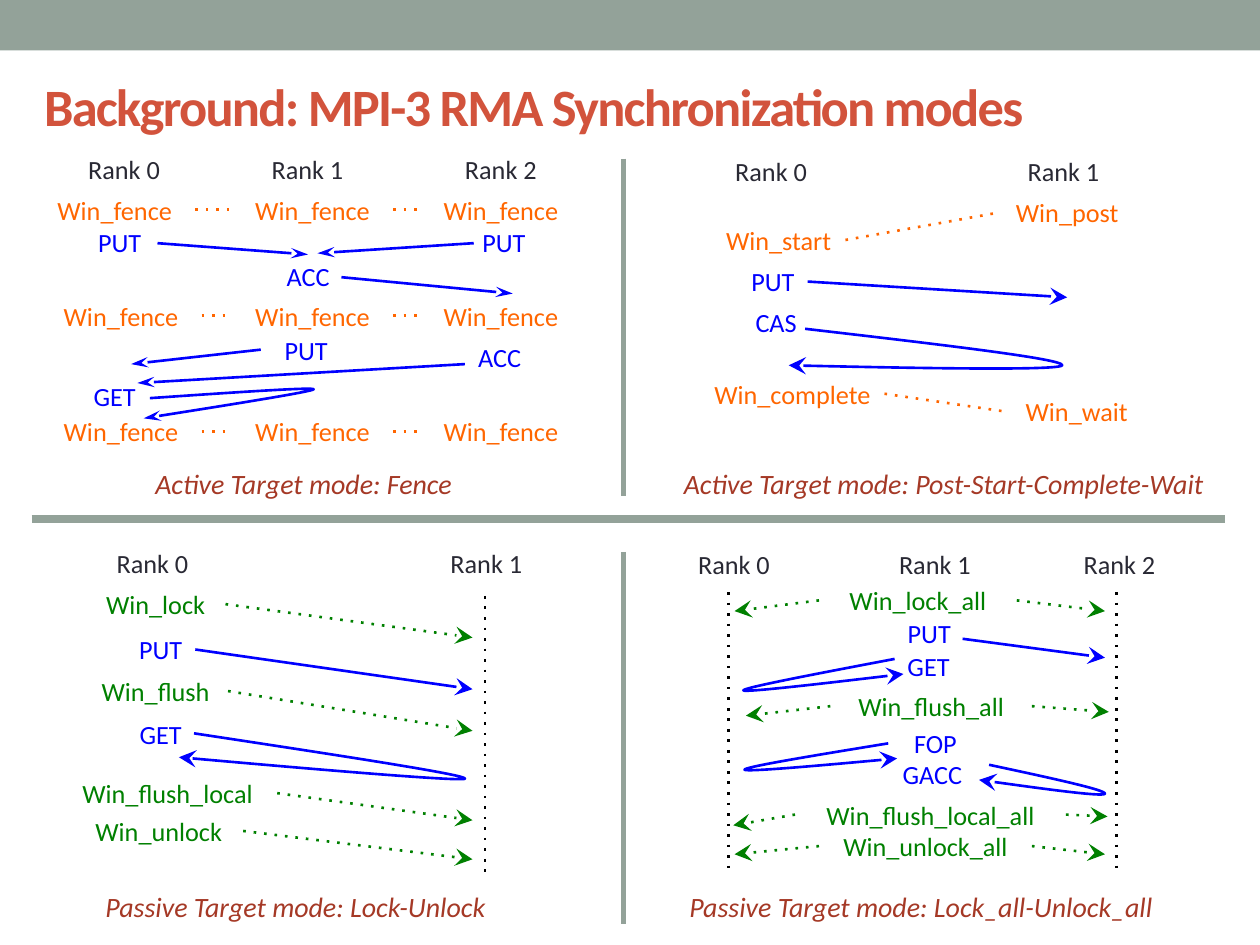
from dataclasses import dataclass, field
from typing import NamedTuple

import lxml.etree
import pptx
import pptx.dml.color
import pptx.enum.shapes
import pptx.enum.text
import pptx.oxml.ns
import pptx.util

FONT = "Calibri"
SAGE, RED, BROWN = "93A299", "D2533C", "A53926"
DARK, ORANGE, BLUE, GREEN, BLACK = "292934", "FF6600", "0000FF", "008000", "000000"
LABEL_H = 0.35
SNAP = 0.025  # a line end this close to the middle of a label's side is joined to it

Point = tuple[float, float]


class Label(NamedTuple):
    text: str
    x: float
    y: float
    w: float
    color: str


class Link(NamedTuple):
    start: Point
    end: Point
    color: str = BLUE
    dotted: bool = False
    arrow: bool = True
    width: float = 1.5


class Loop(NamedTuple):
    """A call that travels to the tip and returns."""
    start: Point
    pull: Point
    tip: Point
    end: Point


@dataclass
class Panel:
    labels: list[Label]
    links: list[Link]
    loops: list[Loop]
    caption: Label
    head_width: str = "lg"
    boxes: list = field(default_factory=list)


def inch(value: float) -> pptx.util.Cm:
    """Positions are noted in inches and given in centimetres."""
    return pptx.util.Cm(value * 2.54)


def rgb(color: str) -> pptx.dml.color.RGBColor:
    return pptx.dml.color.RGBColor.from_string(color)


def sub(parent, tag: str, **attrs: str):
    return lxml.etree.SubElement(parent, pptx.oxml.ns.qn(tag), **attrs)


def format_run(r, size: float, color: str) -> None:
    r.font.name, r.font.size = FONT, pptx.util.Pt(size)
    r.font.color.rgb = rgb(color)


def format_line(sp, color: str, width: float, dotted: bool, head: str) -> None:
    sp.line.color.rgb = rgb(color)
    sp.line.width = pptx.util.Pt(width)
    ln = sp.element.spPr.find(pptx.oxml.ns.qn("a:ln"))
    if dotted:
        sub(ln, "a:prstDash", val="dot")
    if head:
        sub(ln, "a:tailEnd", type="stealth", w=head, len="lg")


def draw_label(shapes, label: Label, size: float = 15, height: float = LABEL_H,
               italic: bool = False):
    sp = shapes.add_textbox(inch(label.x), inch(label.y), inch(label.w), inch(height))
    tf = sp.text_frame
    tf.word_wrap = False
    tf.text = label.text
    p = tf.paragraphs[0]
    p.alignment = pptx.enum.text.PP_ALIGN.CENTER
    format_run(p.runs[0], size, label.color)
    p.runs[0].font.italic = italic
    return sp


def find_site(point: Point, panel: Panel):
    """Return the label box and side whose middle lies at the point."""
    for label, box in zip(panel.labels, panel.boxes):
        cx, cy = label.x + label.w / 2, label.y + LABEL_H / 2
        sides = [(cx, label.y), (label.x, cy), (cx, label.y + LABEL_H), (label.x + label.w, cy)]
        for side, (x, y) in enumerate(sides):
            if abs(x - point[0]) < SNAP and abs(y - point[1]) < SNAP:
                return box, side
    return None


def draw_link(shapes, link: Link, head: str = "lg"):
    sp = shapes.add_connector(pptx.enum.shapes.MSO_CONNECTOR.STRAIGHT,
                              *map(inch, link.start + link.end))
    format_line(sp, link.color, link.width, link.dotted, head if link.arrow else "")
    sub(sp.element.spPr, "a:effectLst")
    return sp


def draw_loop(shapes, loop: Loop, head: str) -> None:
    start, pull, tip, end = loop
    middle = tuple((a + b) / 2 for a, b in zip(start, pull))
    mirrored = tuple(2 * t - c for t, c in zip(tip, pull))
    points = [tuple(map(inch, pt)) for pt in (middle, pull, tip, mirrored, end, end)]
    builder = shapes.build_freeform(*map(inch, start))
    builder.add_line_segments(points, close=False)
    sp = builder.convert_to_shape()
    # Turn each three segments into one Bézier curve
    segments = list(sp.element.iter(pptx.oxml.ns.qn("a:lnTo")))
    for i in range(0, len(segments), 3):
        curve = sub(segments[i].getparent(), "a:cubicBezTo")
        for segment in segments[i:i + 3]:
            curve.append(segment[0])
            segment.getparent().remove(segment)
    sp.fill.background()
    sp.shadow.inherit = False
    format_line(sp, BLUE, 1.5, False, head)


def draw_panel(s, panel: Panel) -> None:
    shapes = s.shapes.add_group_shape().shapes
    panel.boxes = [draw_label(shapes, label) for label in panel.labels]
    for link in panel.links:
        sp = draw_link(shapes, link, panel.head_width)
        for point, connect in ((link.start, sp.begin_connect), (link.end, sp.end_connect)):
            site = find_site(point, panel)
            if site:
                connect(*site)
    for loop in panel.loops:
        draw_loop(shapes, loop, panel.head_width)
    draw_label(s.shapes, panel.caption, 16, 0.37, italic=True)


def ranks(y: float, *spans: Point) -> list[Label]:
    return [Label(f"Rank {i}", x, y, w, DARK) for i, (x, w) in enumerate(spans)]


def dotted(start: Point, end: Point, color: str = GREEN, arrow: bool = True) -> Link:
    return Link(start, end, color, True, arrow)


# Fence: three rows of three fences
FENCE_ROWS = [(0.27, 1.49), (0.32, 2.33), (0.32, 3.25)]
fence = Panel(
    ranks(1.17, (0.48, 1.01), (1.93, 1.02), (3.47, 1.01))
    + [Label("Win_fence", x, y, w, ORANGE) for left, y in FENCE_ROWS
       for x, w in ((left, 1.28), (1.84, 1.28), (3.32, 1.31))]
    + [Label("PUT", 0.59, 1.75, 0.72, BLUE), Label("ACC", 2.02, 2.02, 0.85, BLUE),
       Label("PUT", 3.52, 1.75, 0.96, BLUE), Label("PUT", 2.07, 2.6, 0.72, BLUE),
       Label("ACC", 3.43, 2.66, 1.07, BLUE), Label("GET", 0.5, 2.97, 0.82, BLUE)],
    [dotted((x1, y + LABEL_H / 2), (x2, y + LABEL_H / 2), ORANGE, False)
     for left, y in FENCE_ROWS for x1, x2 in ((left + 1.28, 1.84), (3.12, 3.32))]
    + [Link((1.25, 1.93), (2.43, 2.02)), Link((2.71, 2.2), (4.07, 2.33)),
       Link((3.76, 1.93), (2.52, 2.01)), Link((2.07, 2.79), (1.04, 2.89)),
       Link((3.69, 2.89), (1.09, 3.04))],
    [Loop((1.19, 3.16), (2.5, 3.07), (2.49, 3.09), (1.14, 3.32))],
    Label("Active Target mode: Fence", 1.02, 3.65, 2.78, BROWN), head_width="med")

# Post-Start-Complete-Wait
pscw = Panel(
    ranks(1.18, (5.56, 1.12), (7.88, 1.12))
    + [Label("Win_start", 5.65, 1.73, 1.06, ORANGE), Label("Win_post", 7.94, 1.51, 1.06, ORANGE),
       Label("Win_complete", 5.56, 2.95, 1.46, ORANGE), Label("Win_wait", 7.97, 3.09, 1.15, ORANGE),
       Label("PUT", 5.86, 2.06, 0.55, BLUE), Label("CAS", 5.86, 2.38, 0.6, BLUE)],
    [dotted((6.71, 1.91), (7.94, 1.69), ORANGE, False),
     dotted((7.02, 3.13), (7.97, 3.26), ORANGE, False), Link((6.41, 2.23), (8.47, 2.36))],
    [Loop((6.39, 2.61), (8.45, 2.85), (8.43, 2.9), (6.26, 2.9))],
    Label("Active Target mode: Post-Start-Complete-Wait", 4.89, 3.65, 5.2, BROWN))

# Lock-Unlock
lock = Panel(
    ranks(4.29, (0.59, 1.24), (3.24, 1.24))
    + [Label("Win_lock", 0.68, 4.62, 1.11, GREEN), Label("PUT", 1, 4.98, 0.55, BLUE),
       Label("Win_flush", 0.66, 5.31, 1.15, GREEN), Label("GET", 1, 5.65, 0.55, BLUE),
       Label("Win_flush_local", 0.46, 6.12, 1.74, GREEN),
       Label("Win_unlock", 0.59, 6.42, 1.34, GREEN)],
    [dotted((3.85, 4.73), (3.85, 6.94), BLACK, False), Link((1.56, 5.16), (3.75, 5.47))]
    + [dotted((x, y1), (3.75, y2)) for x, y1, y2 in (
        (1.79, 4.8, 5.06), (1.81, 5.49, 5.8), (2.2, 6.3, 6.51), (1.93, 6.59, 6.82))],
    [Loop((1.54, 5.82), (3.71, 6.15), (3.69, 6.18), (1.42, 6.01))],
    Label("Passive Target mode: Lock-Unlock", 0.7, 7.01, 3.29, BROWN))

# Lock_all-Unlock_all: every synchronization reaches both neighbours
lock_all = Panel(
    ranks(4.3, (5.34, 0.97), (6.93, 0.98), (8.4, 0.97))
    + [Label("Win_lock_all", 6.5, 4.59, 1.57, GREEN), Label("PUT", 7.04, 4.85, 0.67, BLUE),
       Label("GET", 7.05, 5.11, 0.64, BLUE), Label("Win_flush_all", 6.59, 5.43, 1.6, GREEN),
       Label("FOP", 7.06, 5.72, 0.73, BLUE), Label("GACC", 6.99, 5.97, 0.82, BLUE),
       Label("Win_flush_local_all", 6.31, 6.29, 2.15, GREEN),
       Label("Win_unlock_all", 6.5, 6.54, 1.69, GREEN)],
    [dotted((x, 4.7), (x, 6.91), BLACK, False) for x in (5.78, 8.86)]
    + [dotted((x1, y), end) for x1, x2, y, left, right in (
        (6.5, 8.07, 4.77, (5.83, 4.85), (8.77, 4.85)),
        (6.59, 8.19, 5.61, (5.92, 5.68), (8.8, 5.65)),
        (6.31, 8.46, 6.47, (5.82, 6.55), (8.79, 6.48)),
        (6.5, 8.19, 6.72, (5.83, 6.78), (8.77, 6.78)))
       for x1, end in ((x1, left), (x2, right))]
    + [Link((7.64, 5.07), (8.77, 5.22))],
    [Loop((7.1, 5.23), (5.89, 5.46), (5.9, 5.48), (7.17, 5.35)),
     Loop((7.05, 5.9), (5.89, 6.09), (5.91, 6.11), (7.12, 6.02)),
     Loop((7.85, 6.07), (8.78, 6.27), (8.77, 6.3), (7.77, 6.19))],
    Label("Passive Target mode: Lock_all-Unlock_all", 5.18, 7.01, 4.26, BROWN))

DIVIDERS = [((0.25, 4.12), (9.72, 4.12), 4.5), ((4.95, 4.38), (4.95, 7.33), 3),
            ((4.95, 1.26), (4.95, 3.94), 3)]


def main() -> None:
    prs = pptx.Presentation()
    prs.slide_width, prs.slide_height = inch(10), inch(7.5)
    s = prs.slides.add_slide(prs.slide_layouts[5])

    # Top band
    band = s.shapes.add_shape(pptx.enum.shapes.MSO_SHAPE.RECTANGLE, 0, 0, inch(10), inch(0.4))
    band.fill.solid()
    band.fill.fore_color.rgb = rgb(SAGE)
    band.line.fill.background()
    band.shadow.inherit = False

    # Title
    title = s.shapes.title
    title.left, title.top, title.width, title.height = map(inch, (0.25, 0.3, 9.75, 1.08))
    tf = title.text_frame
    tf.text = "Background: MPI-3 RMA Synchronization modes"
    tf.vertical_anchor = pptx.enum.text.MSO_ANCHOR.MIDDLE
    p = tf.paragraphs[0]
    p.alignment = pptx.enum.text.PP_ALIGN.LEFT
    r = p.runs[0]
    format_run(r, 30, RED)
    r.font.bold = True
    r.font._element.set("spc", "-100")

    # Panels and dividers
    for panel in (pscw, fence, lock, lock_all):
        draw_panel(s, panel)
    for start, end, width in DIVIDERS:
        draw_link(s.shapes, Link(start, end, SAGE, arrow=False, width=width))

    prs.save("out.pptx")


if __name__ == "__main__":
    main()
